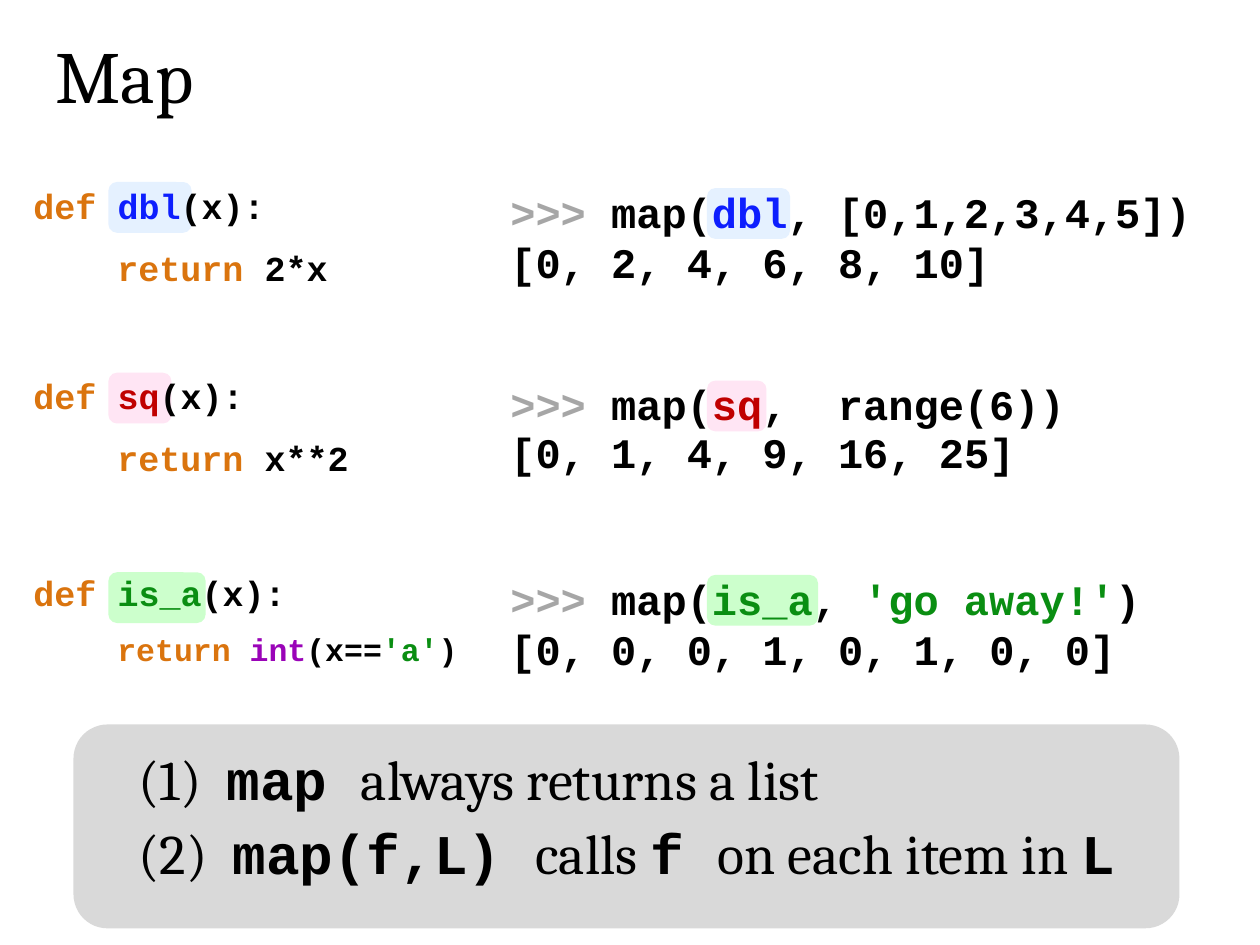
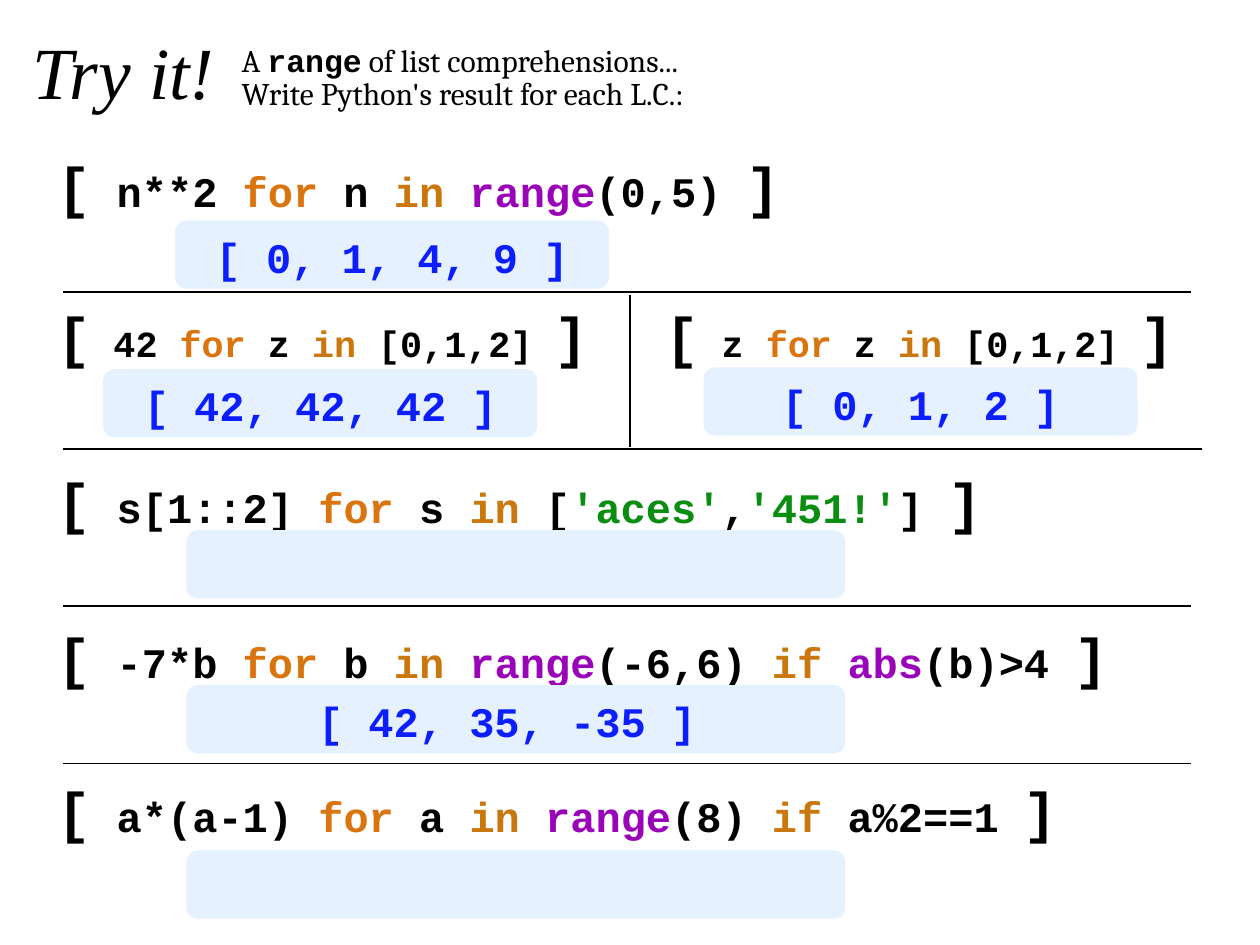
"""Builds two slides on map and list comprehensions in Python."""
import pptx
import pptx.util
import pptx.dml.color
import pptx.enum.shapes
import pptx.enum.text
import lxml.etree

Pt = pptx.util.Pt
Align = pptx.enum.text.PP_ALIGN
MONO = "Courier New"
SERIF = "Cambria"
HUES = {
    "text": "000000", "code": "000000", "big": "000000",
    "def": "DA740E", "in": "CA770E", "call": "9A04B8",
    "blue": "0D1EFE", "red": "C00000", "green": "0A8E12", "gray": "A6A6A6",
    "sky": "E5F1FF", "pink": "FFE5F4", "mint": "CCFFCC", "panel": "D9D9D9",
}


def chip(slide, spot, hue):
    """Add a plain rounded box."""
    kind = pptx.enum.shapes.MSO_SHAPE.ROUNDED_RECTANGLE
    shape = slide.shapes.add_shape(kind, *map(Pt, spot))
    shape.shadow.inherit = False
    shape.fill.solid()
    shape.fill.fore_color.rgb = pptx.dml.color.RGBColor.from_string(HUES[hue])
    shape.line.fill.background()


def label(shape, spot, lines, size, font=MONO, gap=0, lead=None, align=Align.LEFT):
    """Place a shape and fill it with lines of 'hue:text' parts split by bars."""
    shape.left, shape.top, shape.width, shape.height = map(Pt, spot)
    frame = shape.text_frame
    frame.word_wrap = True
    frame.auto_size = pptx.enum.text.MSO_AUTO_SIZE.NONE
    frame.vertical_anchor = pptx.enum.text.MSO_ANCHOR.TOP
    for i, line in enumerate(lines):
        para = frame.paragraphs[0] if i == 0 else frame.add_paragraph()
        para.alignment = align
        para.line_spacing = lead
        para.space_before = Pt(gap if i else 0)
        para.font.name, para.font.size = font, Pt(size)
        para.font.bold = font == MONO
        for part in line.split("|"):
            hue, _, words = part.partition(":")
            run = para.add_run()
            run.text = words
            run.font.color.rgb = pptx.dml.color.RGBColor.from_string(HUES[hue])
            if hue == "code":
                run.font.name, run.font.bold = MONO, True
            if hue == "big":
                run.font.size = Pt(32)
    return frame.paragraphs


deck = pptx.Presentation()
deck.slide_width, deck.slide_height = Pt(720), Pt(540)

page = deck.slides.add_slide(deck.slide_layouts[1])
label(page.shapes.title, (24.5, 13.5, 143, 64), ["text:Map"], 42, SERIF)
chip(page, (42, 414, 632, 116.5), "panel")

defs = [
    ("dbl", "blue", "sky", 104, 47.5, 107.5, 47.5),
    ("sq", "red", "pink", 213, 36, 217.5, 34),
    ("is_a", "green", "mint", 327, 55.5, 328.5, 63.5),
]
for name, hue, fill, top, wide, high, span in defs:
    chip(page, (62, top, wide, 29), fill)
    chip(page, (404, high, span, 29), fill)

bodies = [
    (102, "def:return|text: 2*x", 20, None),
    (210.5, "def:return|text: x**2", 20, None),
    (326, "def:return |call:int|text:(x==|green:'a'|text:)", 18, 0.9),
]
calls = [
    (103, "text:, [0,1,2,3,4,5])", "[0, 2, 4, 6, 8, 10]", 0, None),
    (225.5, "text:,  range(6))", "[0, 1, 4, 9, 16, 25]", 13, 0.5),
    (324, "text:, |green:'go away!'|text:)", "[0, 0, 0, 1, 0, 1, 0, 0]", 0, None),
]
for (name, hue, *_), (top, body, size, lead), (high, args, out, gap, tight) in zip(defs, bodies, calls):
    box = page.shapes.add_textbox(0, 0, 0, 0)
    lines = [f"def:def |{hue}:{name}|text:(x):", body]
    paras = label(box, (12, top, 258, 67), lines, 20, gap=11.5, lead=lead)
    paras[1].font.size = Pt(size)
    paras[1]._p.get_or_add_pPr().set("marL", str(Pt(48)))
    box = page.shapes.add_textbox(0, 0, 0, 0)
    lines = [f"gray:>>> |text:map(|{hue}:{name}|{args}", f"text:{out}"]
    label(box, (284.5, high, 411, 65), lines, 24, gap=gap, lead=tight)

notes = page.placeholders[1]
page.shapes._spTree.append(notes._element)
rules = [
    "text:(1)  |code:map |text:always returns a list",
    "text:(2)  |code:map(f,L) |text:calls |code:f |text:on each item in |code:L",
]
for para in label(notes, (72, 422, 600, 100), rules, 32, SERIF, gap=3.5):
    props = para._p.get_or_add_pPr()
    props.set("marL", "0")
    props.set("indent", "0")
    none = lxml.etree.Element(pptx.oxml.ns.qn("a:buNone"))
    props.insert(list(props).index(props.find(pptx.oxml.ns.qn("a:defRPr"))), none)

page = deck.slides.add_slide(deck.slide_layouts[5])
head = label(page.shapes.title, (11.5, 11.5, 132, 58), ["text:Try it!"], 42, "Times New Roman")
head[0].font.italic = True
intro = [
    "text:A |code:range|text: of list comprehensions...",
    "text:Write Python's result for each L.C.:",
]
for i, line in enumerate(intro):
    box = page.shapes.add_textbox(0, 0, 0, 0)
    label(box, (131, 20 + 19 * i, 282, 29), [line], 18, SERIF)

tasks = [
    (26, 83, 24, "text: n**2 |def:for|text: n |in:in |call:range|text:(0,5) "),
    (26, 169, 21, "text: 42 |def:for|text: z |in:in|text: [0,1,2] "),
    (373.5, 169, 21, "text: z |def:for|text: z |in:in|text: [0,1,2] "),
    (26, 263.5, 24, "text: s[1::2] |def:for|text: s |in:in|text: [|green:'aces'|text:,|green:'451!'|text:] "),
    (26, 352, 24, "text: -7*b |def:for|text: b |in:in |call:range|text:(-6,6) |in:if |call:abs|text:(b)>4 "),
    (26, 440, 24, "text: a*(a-1) |def:for|text: a |in:in |call:range|text:(8) |in:if|text: a%2==1 "),
]
for left, top, size, line in tasks:
    box = page.shapes.add_textbox(0, 0, 0, 0)
    wide = 324 if size == 21 else 618
    label(box, (left, top, wide, 46), [f"big:[|{line}|big:]"], size)

answers = [
    (100, 126, 248, "[ 0, 1, 4, 9 ]"),
    (59, 211, 248, "[ 42, 42, 42 ]"),
    (402, 210, 248, "[ 0, 1, 2 ]"),
    (106.5, 303, 376.5, ""),
    (106.5, 391.5, 376.5, "[ 42, 35, -35 ]"),
    (106.5, 486, 376.5, ""),
]
for left, top, wide, words in answers:
    chip(page, (left, top, wide, 39), "sky")
    if words:
        box = page.shapes.add_textbox(0, 0, 0, 0)
        nudge = -5 if wide > 248 else 0
        spot = (left + nudge, top + 2.5, wide, 36)
        label(box, spot, [f"blue:{words}"], 24, align=Align.CENTER)

rows = [(36, 167 + 89.75 * i, 687 if i == 1 else 680.5, 167 + 89.75 * i) for i in range(4)]
for ends in rows + [(360, 168.5, 360, 255.5)]:
    line = page.shapes.add_connector(pptx.enum.shapes.MSO_CONNECTOR.STRAIGHT, *map(Pt, ends))
    line.line.width = Pt(1)
    line.line.color.rgb = pptx.dml.color.RGBColor.from_string(HUES["text"])
    props = line._element.spPr
    lxml.etree.SubElement(props, pptx.oxml.ns.qn("a:effectLst"))

deck.save("out.pptx")
